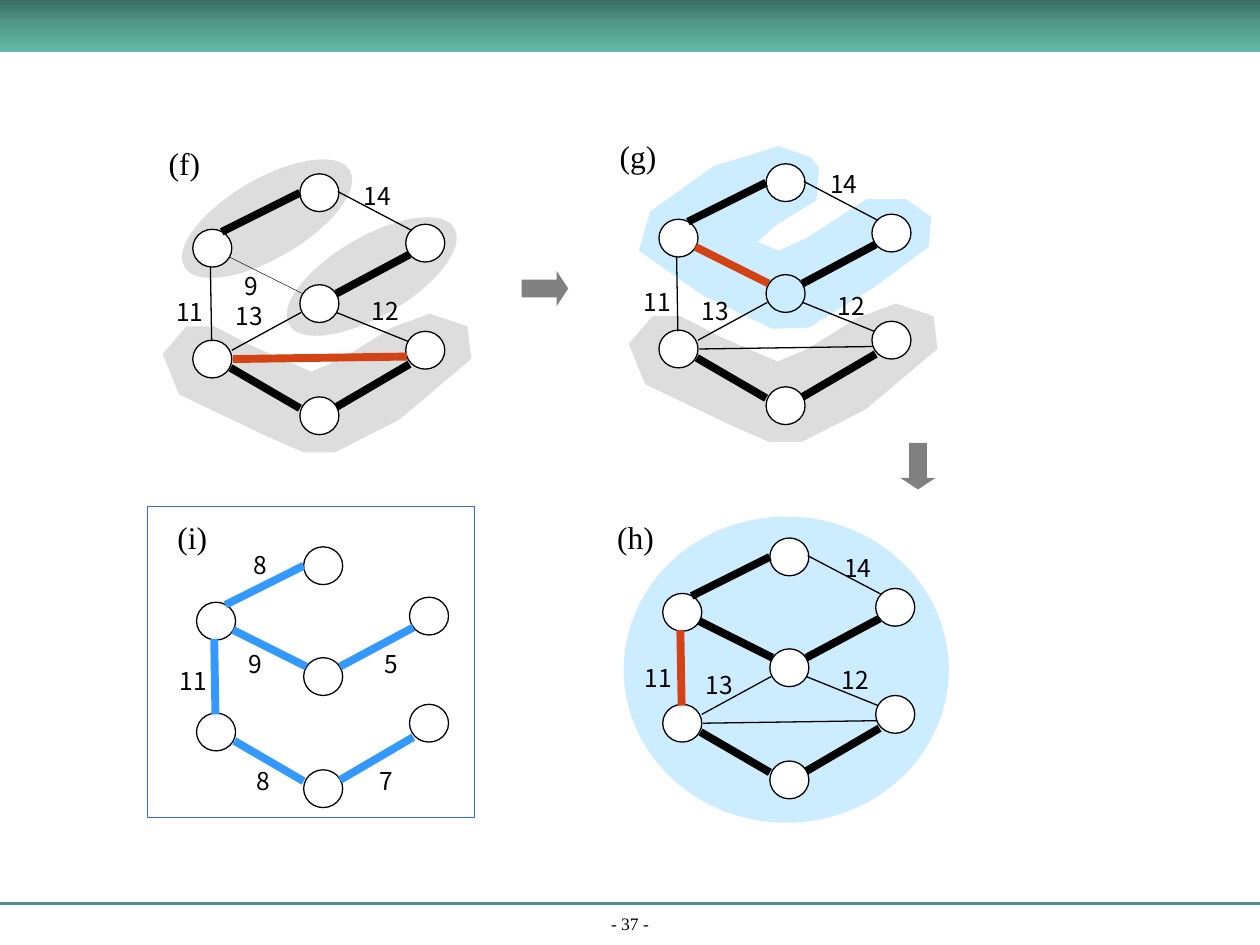
from copy import deepcopy

from lxml.etree import SubElement
from pptx import Presentation
from pptx.dml.color import RGBColor
from pptx.enum.shapes import MSO_CONNECTOR as Link, MSO_SHAPE as Shape
from pptx.enum.text import MSO_ANCHOR as Anchor, MSO_AUTO_SIZE as Auto, PP_ALIGN as Align
from pptx.oxml.ns import qn
from pptx.util import Inches, Pt

BLACK = RGBColor(0x00, 0x00, 0x00)
WHITE = RGBColor(0xFF, 0xFF, 0xFF)
GREY = RGBColor(0xDD, 0xDD, 0xDD)
DARK = RGBColor(0x80, 0x80, 0x80)
SKY = RGBColor(0xCC, 0xEC, 0xFF)
BLUE = RGBColor(0x33, 0x99, 0xFF)
FRAME = RGBColor(0x33, 0x66, 0xFF)
RED = RGBColor(0xD4, 0x43, 0x16)
GREEN = RGBColor(0x4C, 0x92, 0x82)
BAND = [(0, RGBColor(0x3A, 0x6D, 0x62)), (0.5, RGBColor(0x53, 0x9C, 0x8B)),
        (1, RGBColor(0x62, 0xB9, 0xA5))]
SERIF, SANS = "Times New Roman", "Noto Sans CJK KR"

# Offsets from the graph's own corner, shared by all four panels.
NODES = {"left": (0, 0.44), "base": (0.85, 1.77), "low": (0, 1.32),
         "mid": (0.85, 0.88), "end": (1.69, 1.25), "right": (1.69, 0.4),
         "top": (0.85, 0)}
EDGES = {
    "left-mid": (0.29, 0.66, 0.87, 0.95), "low-mid": (0.31, 1.4, 0.86, 1.1),
    "left-top": (0.23, 0.46, 0.85, 0.15), "top-right": (1.15, 0.14, 1.74, 0.45),
    "mid-right": (1.14, 0.95, 1.72, 0.64), "mid-end": (1.14, 1.1, 1.71, 1.33),
    "low-base": (0.3, 1.54, 0.85, 1.86), "base-end": (1.14, 1.85, 1.72, 1.51),
    "left-low": (0.14, 0.73, 0.15, 1.33), "low-end": (0.32, 1.47, 1.7, 1.45),
}
TREE = ["left-top", "mid-right", "low-base", "base-end"]
LOWER = [(0.88, 2.21), (1.13, 2.21), (1.64, 1.95), (2.21, 1.47), (2.18, 1.21),
         (1.88, 1.11), (1.58, 1.22), (1.18, 1.47), (0.94, 1.57), (0.48, 1.37),
         (0.17, 1.21), (-0.05, 1.21), (-0.24, 1.43), (-0.11, 1.75), (0.58, 2.08)]
UPPER = [(1.21, -0.05), (0.95, -0.14), (0.43, 0.02), (-0.07, 0.38), (-0.16, 0.69),
         (0.34, 1.04), (0.9, 1.31), (1.19, 1.3), (1.71, 0.98), (2.14, 0.66),
         (2.16, 0.42), (1.96, 0.28), (1.65, 0.28), (1.17, 0.59), (0.95, 0.69),
         (0.78, 0.62), (0.94, 0.48), (1.25, 0.29), (1.27, 0.03)]


def paint(shape, fill=None, line=None, width=0.75):
    shape.shadow.inherit = False
    if fill is None:
        shape.fill.background()
    else:
        shape.fill.solid()
        shape.fill.fore_color.rgb = fill
    if line is None:
        shape.line.fill.background()
    else:
        shape.line.color.rgb = line
        shape.line.width = Pt(width)


def add_form(slide, kind, box, fill=None, line=None, width=0.75, turn=0):
    shape = slide.shapes.add_shape(kind, *map(Inches, box))
    paint(shape, fill, line, width)
    shape.rotation = turn
    return shape


def add_blob(slide, x, y, points, fill):
    """Draw a closed outline from points given relative to (x, y)."""
    spots = [(Inches(x + a), Inches(y + b)) for a, b in points]
    pen = slide.shapes.build_freeform(*spots[0], scale=1.0)
    pen.add_line_segments(spots[1:], close=True)
    paint(pen.convert_to_shape(), fill)


def add_line(slide, ends, color, width):
    line = slide.shapes.add_connector(Link.STRAIGHT, *map(Inches, ends))
    line.line.color.rgb = color
    line.line.width = Pt(width)
    SubElement(line._element.spPr, qn("a:effectLst"))


def add_text(slide, box, text, font, size):
    frame = slide.shapes.add_textbox(*map(Inches, box)).text_frame
    frame.word_wrap = False
    frame.auto_size = Auto.SHAPE_TO_FIT_TEXT
    run = frame.paragraphs[0].add_run()
    run.text = text
    run.font.name = font
    run.font.size = Pt(size)
    run.font.color.rgb = BLACK
    return frame


def add_arrow(slide, x, y, turn=0):
    arrow = add_form(slide, Shape.RIGHT_ARROW, (x, y, 0.37, 0.28), DARK, turn=turn)
    arrow.adjustments[1] = 0.33


def add_graph(slide, x, y, name, spot, edges, labels, fill=WHITE, clear=()):
    """Draw a panel; edges map a name to (colour, width), clear lists unfilled nodes."""
    add_text(slide, (x + spot[0], y + spot[1], 0.52, 0.4), name, SERIF, 18)
    for node, (a, b) in NODES.items():
        add_form(slide, Shape.OVAL, (x + a, y + b, 0.31, 0.3),
                 None if node in clear else fill, BLACK)
    for edge, (color, width) in edges.items():
        a, b, c, d = EDGES[edge]
        add_line(slide, (x + a, y + b, x + c, y + d), color, width)
    for text, a, b in labels:
        wide = 0.42 if len(text) > 1 else 0.31
        add_text(slide, (x + a, y + b, wide, 0.33), text, SANS, 14)


def style(thick, red):
    """Give every edge a thin black line, save the thick ones and the red one."""
    edges = {e: (BLACK, 4.5 if e in thick else 0.75) for e in EDGES}
    edges[red] = (RED, 4.5)
    return edges


def add_frame(slide):
    """Add the header band, the footer rule and the page number."""
    add_line(slide, (0, 7.17, 10, 7.17), GREEN, 1.5)
    foot = add_text(slide, (0, 7.24, 10, 0.22), "- 37 -", SERIF, 10)
    foot.auto_size = Auto.NONE
    foot.word_wrap = True
    foot.vertical_anchor = Anchor.BOTTOM
    foot.paragraphs[0].alignment = Align.CENTER
    band = add_form(slide, Shape.RECTANGLE, (0, 0, 10, 0.41))
    band.fill.gradient()
    band.fill.gradient_angle = 270
    stops = band._element.spPr.find(".//" + qn("a:gsLst"))
    stops.append(deepcopy(stops[-1]))
    for stop, (place, color) in zip(band.fill.gradient_stops, BAND):
        stop.position = place
        stop.color.rgb = color


def main():
    deck = Presentation()
    deck.slide_width, deck.slide_height = Inches(10), Inches(7.5)
    slide = deck.slides.add_slide(deck.slide_layouts[6])
    add_frame(slide)

    for x, y in [(2.19, 1.88), (1.36, 1.42)]:
        add_form(slide, Shape.OVAL, (x, y, 1.52, 0.63), GREY, turn=329.7)
    add_blob(slide, 1.53, 1.38, LOWER, GREY)
    edges = style(TREE, "low-end")
    edges["left-mid"] = (BLACK, 0.25)
    add_graph(slide, 1.53, 1.38, "(f)", (-0.29, -0.29), edges,
              [("14", 1.26, 0.01), ("13", 0.24, 0.96), ("12", 1.32, 0.92),
               ("11", -0.23, 0.93), ("9", 0.31, 0.72)])
    add_arrow(slide, 4.14, 2.15)

    add_blob(slide, 5.23, 1.3, LOWER, GREY)
    add_blob(slide, 5.23, 1.3, UPPER, SKY)
    add_graph(slide, 5.23, 1.3, "(g)", (-0.41, -0.26), style(TREE, "left-mid"),
              [("14", 1.26, -0.01), ("13", 0.24, 1), ("12", 1.32, 0.96),
               ("11", -0.22, 0.93)], clear=["mid"])
    add_arrow(slide, 7.1, 3.56, 90)

    add_form(slide, Shape.OVAL, (4.95, 4.1, 2.58, 2.43), SKY)
    add_graph(slide, 5.26, 4.27, "(h)", (-0.46, -0.21),
              style(TREE + ["left-mid"], "left-low"),
              [("14", 1.34, 0.07), ("13", 0.24, 1), ("12", 1.32, 0.96),
               ("11", -0.24, 0.94)])

    tree = {e: (BLUE, 4.5) for e in TREE + ["left-mid", "left-low"]}
    add_graph(slide, 1.56, 4.34, "(i)", (-0.25, -0.28), tree,
              [("8", 0.35, -0.02), ("9", 0.31, 0.76), ("8", 0.38, 1.69),
               ("5", 1.39, 0.76), ("7", 1.35, 1.69), ("11", -0.23, 0.9)], fill=None)
    add_form(slide, Shape.RECTANGLE, (1.17, 4.02, 2.59, 2.47), None, FRAME, 0.25)
    deck.save("out.pptx")


if __name__ == "__main__":
    main()
